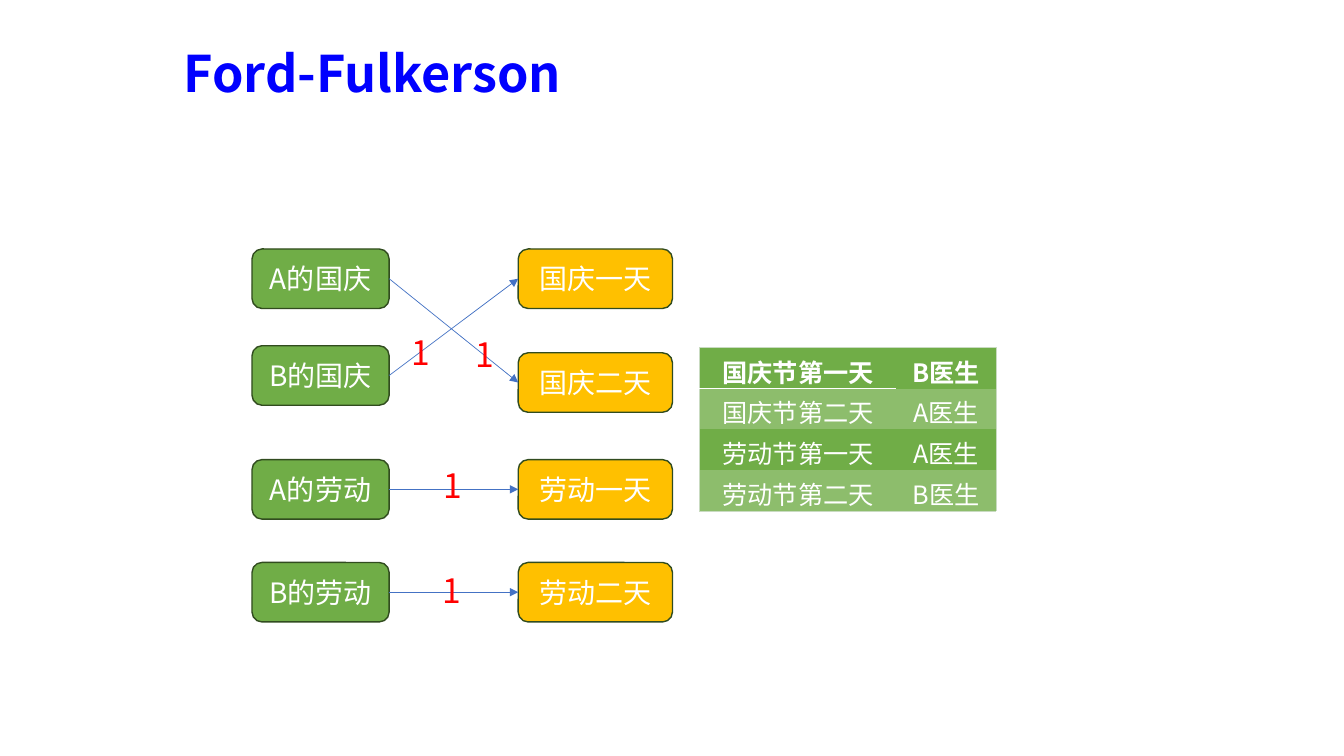
from dataclasses import dataclass

from pptx import Presentation
from pptx.dml.color import RGBColor
from pptx.enum import shapes, text
from pptx.oxml import ns, xmlchemy
from pptx.util import Inches, Pt

FONT = "Noto Sans CJK SC"
WHITE = RGBColor(0xFF, 0xFF, 0xFF)
BLUE = RGBColor(0x00, 0x00, 0xFF)
RED = RGBColor(0xFF, 0x00, 0x00)
GREEN = RGBColor(0x70, 0xAD, 0x47)
LIGHT_GREEN = RGBColor(0x8D, 0xBD, 0x6C)
DARK_GREEN = RGBColor(0x31, 0x4C, 0x1F)
PALE_GREEN = RGBColor(0xC9, 0xDB, 0xC1)
AMBER = RGBColor(0xFF, 0xC0, 0x00)
ARROW_BLUE = RGBColor(0x44, 0x72, 0xC4)
NO_GRID_STYLE = "{2D5ABB26-0587-4C30-8999-92F81FD0307C}"
NODE_HEIGHT = 0.59


@dataclass
class Column:
    left: float
    width: float
    fill: RGBColor
    nodes: list[tuple[str, float]]


HOLIDAYS = Column(2.5, 1.36, GREEN, [
    ("A的国庆", 2.47), ("B的国庆", 3.43), ("A的劳动", 4.56), ("B的劳动", 5.58)])
DAYS = Column(5.14, 1.53, AMBER, [
    ("国庆一天", 2.47), ("国庆二天", 3.5), ("劳动一天", 4.56), ("劳动二天", 5.58)])
MATCHING = [(0, 1), (1, 0), (2, 2), (3, 3)]
FLOW_LABELS = [(4.3, 4.56), (4.29, 5.6), (4.62, 3.26), (3.98, 3.24)]
SCHEDULE = [("国庆节第一天", "B医生"), ("国庆节第二天", "A医生"),
            ("劳动节第一天", "A医生"), ("劳动节第二天", "B医生")]


def add_element(parent, tag: str, **attrs: str):
    el = xmlchemy.OxmlElement(tag)
    for name, value in attrs.items():
        el.set(name, value)
    parent.append(el)
    return el


def write(tf, content: str, size: float, color: RGBColor, bold: bool = False,
          align=text.PP_ALIGN.CENTER) -> None:
    p = tf.paragraphs[0]
    p.alignment = align
    r = p.add_run()
    r.text = content
    r.font.size, r.font.bold, r.font.name = Pt(size), bold, FONT
    r.font.color.rgb = color
    add_element(r.font._element, "a:ea", typeface=FONT)


def add_title(s) -> None:
    title = s.shapes.title
    title.left, title.top = Inches(1.67), Inches(0.36)
    title.width, title.height = Inches(4.05), Inches(0.71)
    tf = title.text_frame
    tf.word_wrap = False
    tf.vertical_anchor = text.MSO_ANCHOR.MIDDLE
    write(tf, "Ford-Fulkerson", 36, BLUE, bold=True)


def add_nodes(s, column: Column) -> list:
    boxes = []
    for label, top in column.nodes:
        sp = s.shapes.add_shape(
            shapes.MSO_SHAPE.ROUNDED_RECTANGLE, Inches(column.left), Inches(top),
            Inches(column.width), Inches(NODE_HEIGHT))
        sp.shadow.inherit = False
        sp.fill.solid()
        sp.fill.fore_color.rgb = column.fill
        sp.line.color.rgb = DARK_GREEN
        sp.line.width = Pt(1)
        sp.text_frame.vertical_anchor = text.MSO_ANCHOR.MIDDLE
        write(sp.text_frame, label, 20, WHITE)
        boxes.append(sp)
    return boxes


def add_arrow(s, source, target) -> None:
    arrow = s.shapes.add_connector(shapes.MSO_CONNECTOR.STRAIGHT, 0, 0, 0, 0)
    arrow.begin_connect(source, 3)
    arrow.end_connect(target, 1)
    arrow.line.color.rgb = ARROW_BLUE
    arrow.line.width = Pt(0.5)
    add_element(arrow.line._get_or_add_ln(), "a:tailEnd", type="triangle")
    add_element(arrow._element.spPr, "a:effectLst")


def add_flow_label(s, left: float, top: float) -> None:
    tf = s.shapes.add_textbox(
        Inches(left), Inches(top), Inches(0.4), Inches(0.5)).text_frame
    tf.word_wrap = False
    write(tf, "1", 24, RED, align=text.PP_ALIGN.LEFT)


def add_border(cell, side: str, color: RGBColor, points: float) -> None:
    ln = add_element(cell._tc.get_or_add_tcPr(), f"a:ln{side}", w=str(Pt(points)))
    add_element(add_element(ln, "a:solidFill"), "a:srgbClr", val=str(color))


def add_schedule(s) -> None:
    last_row, last_col = len(SCHEDULE) - 1, len(SCHEDULE[0]) - 1
    table = s.shapes.add_table(
        last_row + 1, last_col + 1, Inches(6.94), Inches(3.45),
        Inches(2.94), Inches(1.62)).table
    table._tbl.tblPr.find(ns.qn("a:tableStyleId")).text = NO_GRID_STYLE
    table.horz_banding = False
    for column, width in zip(table.columns, (1.95, 0.99)):
        column.width = Inches(width)
    for i, row in enumerate(SCHEDULE):
        for j, label in enumerate(row):
            cell = table.cell(i, j)
            cell.margin_bottom = 0
            outer = {"L": j == 0, "R": j == last_col, "T": i == 0, "B": i == last_row}
            for side, on_edge in outer.items():
                if on_edge:
                    add_border(cell, side, PALE_GREEN, 0.5)
            if i == 0 and j == 0:
                add_border(cell, "B", WHITE, 1.5)
            cell.fill.solid()
            cell.fill.fore_color.rgb = LIGHT_GREEN if i % 2 else GREEN
            write(cell.text_frame, label, 18, WHITE, bold=i == 0)


def main() -> None:
    prs = Presentation()
    prs.slide_width, prs.slide_height = Inches(13.33), Inches(7.5)
    s = prs.slides.add_slide(prs.slide_layouts[5])
    add_title(s)
    holidays, days = add_nodes(s, HOLIDAYS), add_nodes(s, DAYS)
    for source, target in MATCHING:
        add_arrow(s, holidays[source], days[target])
    for left, top in FLOW_LABELS:
        add_flow_label(s, left, top)
    add_schedule(s)
    prs.save("out.pptx")


if __name__ == "__main__":
    main()
